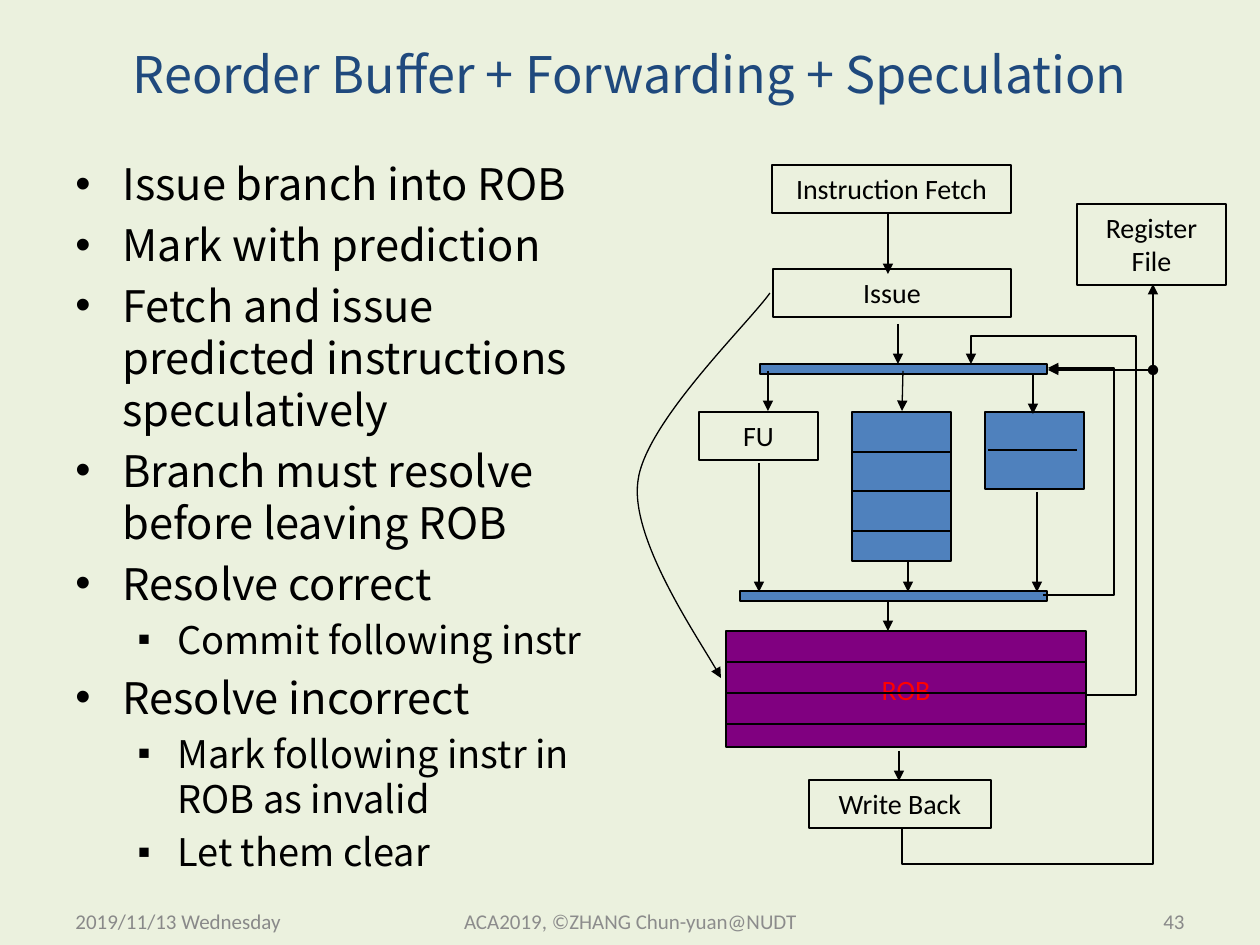
from pptx import Presentation
from pptx.dml.color import RGBColor
from pptx.enum.shapes import MSO_CONNECTOR, MSO_SHAPE
from pptx.enum.text import MSO_ANCHOR, PP_ALIGN
from pptx.oxml.ns import qn
from pptx.oxml.xmlchemy import OxmlElement
from pptx.util import Pt

PX = 914400 / 126
RECT, STRAIGHT = MSO_SHAPE.RECTANGLE, MSO_CONNECTOR.STRAIGHT
TOP, MIDDLE = MSO_ANCHOR.TOP, MSO_ANCHOR.MIDDLE
LEFT, CENTER, RIGHT = PP_ALIGN.LEFT, PP_ALIGN.CENTER, PP_ALIGN.RIGHT
HEAD_FONT, BOX_FONT = "Noto Sans CJK SC", "Calibri"
BLACK, BLUE, PURPLE, GREY = "000000", "4F81BD", "800080", "898989"

# Body levels: size, text indent, hanging indent, space before, bullet, bullet percent
LEVELS = [
    dict(size=24.8, indent=47, hang=47, before=5, bullet="•", percent=100),
    dict(size=21.7, indent=102, hang=39, before=4.3, bullet="■", percent=50),
]
BODY = [
    (0, "Issue branch into ROB"),
    (0, "Mark with prediction"),
    (0, "Fetch and issue predicted instructions speculatively"),
    (0, "Branch must resolve before leaving ROB"),
    (0, "Resolve correct"),
    (1, "Commit following instr"),
    (0, "Resolve incorrect"),
    (1, "Mark following instr in ROB as invalid"),
    (1, "Let them clear"),
]
STAGES = [
    ("Instruction Fetch", 772, 165, 239, 48),
    ("Issue", 773, 269, 238, 48),
    ("Write Back", 809, 780, 182, 48),
    ("Register File", 1077, 204, 149, 81),
    ("FU", 699, 412, 119, 48),
]
ARROWS = [
    (888, 214, 888, 274), (898, 324, 898, 364),      # fetch to issue to bus
    (1033, 375, 1033, 414), (903, 371, 902, 411),    # bus to units
    (768, 371, 768, 411),
    (759, 463, 759, 592), (908, 562, 908, 592),      # units to result bus
    (1037, 492, 1037, 592),
    (888, 601, 888, 631), (899, 751, 899, 781),      # result bus to ROB to write back
]
PATHS = [
    [(902, 829), (902, 864), (1153, 864), (1153, 284)],
    [(1085, 695), (1136, 695), (1136, 336), (971, 336), (971, 364)],
    [(1043, 595), (1114, 595), (1114, 368), (1048, 368)],
]
ISSUE_CURVE = [(770, 293), (748, 324), (645, 423), (638, 481),
               (630, 538), (707, 651), (721, 678)]


def emu(*values):
    return [round(v * PX) for v in values]


def rgb(color):
    return RGBColor.from_string(color)


def add_child(parent, tag, **attrs):
    child = OxmlElement(tag)
    for name, value in attrs.items():
        child.set(name, str(value))
    parent.append(child)
    return child


def format_run(p, text, size, font, color):
    r = p.add_run()
    r.text = text
    for name, value in dict(size=Pt(size), name=font).items():
        setattr(r.font, name, value)
    r.font.color.rgb = rgb(color)


def write(sp, text, size, font, color, align=CENTER, anchor=TOP, wrap=True):
    tf = sp.text_frame
    for name, value in dict(word_wrap=wrap, vertical_anchor=anchor).items():
        setattr(tf, name, value)
    p = tf.paragraphs[0]
    p.alignment = align
    format_run(p, text, size, font, color)


def outline(sp, head=None, tail=None):
    sp.line.color.rgb = rgb(BLACK)
    sp.line.width = Pt(0.75)
    ln = sp._element.spPr.find(qn("a:ln"))
    for tag, kind in (("a:headEnd", head), ("a:tailEnd", tail)):
        if kind:
            add_child(ln, tag, type=kind)


def add_box(slide, x, y, w, h, fill=None):
    sp = slide.shapes.add_shape(RECT, *emu(x, y, w, h))
    sp.shadow.inherit = False
    if fill:
        sp.fill.solid()
        sp.fill.fore_color.rgb = rgb(fill)
    else:
        sp.fill.background()
    outline(sp)
    return sp


def add_line(slide, x1, y1, x2, y2, head=None, tail=None):
    line = slide.shapes.add_connector(STRAIGHT, *emu(x1, y1, x2, y2))
    outline(line, head, tail)
    add_child(line._element.spPr, "a:effectLst")


def add_path(slide, points, curved=False):
    builder = slide.shapes.build_freeform(*points[0], scale=PX)
    builder.add_line_segments(points[1:], close=False)
    sp = builder.convert_to_shape()
    sp.shadow.inherit = False
    sp.fill.background()
    outline(sp, tail="triangle")
    if curved:  # every three points become one Bézier segment
        path = next(sp._element.iter(qn("a:path")))
        segments = path.findall(qn("a:lnTo"))
        for i in range(0, len(segments), 3):
            curve = add_child(path, "a:cubicBezTo")
            for segment in segments[i:i + 3]:
                curve.append(segment[0])
                path.remove(segment)


def add_cells(slide, x, y, w, h, fill, dividers):
    sp = add_box(slide, x, y, w, h, fill)
    for line_y in dividers:
        add_line(slide, x, line_y, x + w, line_y)
    return sp


def add_label(slide, text, x, w, align, color=GREY):
    sp = slide.shapes.add_textbox(*emu(x, 896, w, 50))
    write(sp, text, 12, BOX_FONT, color, align, MIDDLE)


def add_body(slide):
    tf = slide.shapes.add_textbox(*emu(63, 151, 557, 745)).text_frame
    tf.word_wrap = True
    for i, (level, text) in enumerate(BODY):
        fmt = LEVELS[level]
        p = tf.add_paragraph() if i else tf.paragraphs[0]
        for name, value in dict(level=level, line_spacing=1.0,
                                space_before=Pt(fmt["before"])).items():
            setattr(p, name, value)
        pPr = p._p.get_or_add_pPr()
        indent, hang = emu(fmt["indent"], fmt["hang"])
        pPr.set("marL", str(indent))
        pPr.set("indent", str(-hang))
        add_child(pPr, "a:buSzPct", val=fmt["percent"] * 1000)
        add_child(pPr, "a:buFont", typeface="Arial")
        add_child(pPr, "a:buChar", char=fmt["bullet"])
        format_run(p, text, fmt["size"], HEAD_FONT, BLACK)


def add_title(slide, text):
    title = slide.shapes.title
    title.left, title.top, title.width, title.height = emu(63, 24, 1134, 98)
    write(title, text, 28.8, HEAD_FONT, "1F497D", anchor=MIDDLE)


def add_pipeline(slide):
    # Stages and functional units
    for text, *place in STAGES:
        write(add_box(slide, *place), text, 16, BOX_FONT, BLACK)
    add_cells(slide, 852, 412, 99, 149, BLUE, (452, 491, 531))
    add_box(slide, 985, 412, 99, 77, BLUE)
    add_line(slide, 988, 450, 1077, 450)

    # Buses and data flow
    add_box(slide, 760, 364, 287, 10, BLUE)
    add_box(slide, 740, 591, 307, 10, BLUE)
    add_path(slide, ISSUE_CURVE, curved=True)
    for ends in ARROWS:
        add_line(slide, *ends, tail="triangle")
    for points in PATHS:
        add_path(slide, points)
    add_line(slide, 1048, 370, 1153, 370, head="triangle", tail="oval")

    # Reorder buffer
    rob = add_cells(slide, 726, 631, 360, 116, PURPLE, (662, 693, 724))
    write(rob, "ROB", 16, BOX_FONT, "FF0000", anchor=MIDDLE, wrap=False)


def main():
    prs = Presentation()
    prs.slide_width, prs.slide_height = emu(1260, 945)
    slide = prs.slides.add_slide(prs.slide_layouts[5])
    slide.background.fill.solid()
    slide.background.fill.fore_color.rgb = rgb("EBF1DE")

    add_title(slide, "Reorder Buffer + Forwarding + Speculation")
    add_body(slide)
    add_pipeline(slide)

    # Footer
    add_label(slide, "2019/11/13 Wednesday", 63, 294, LEFT)
    add_label(slide, "ACA2019, ©ZHANG Chun-yuan@NUDT", 431, 399, CENTER, "8C8C8C")
    add_label(slide, "43", 903, 294, RIGHT)
    prs.save("out.pptx")


if __name__ == "__main__":
    main()
